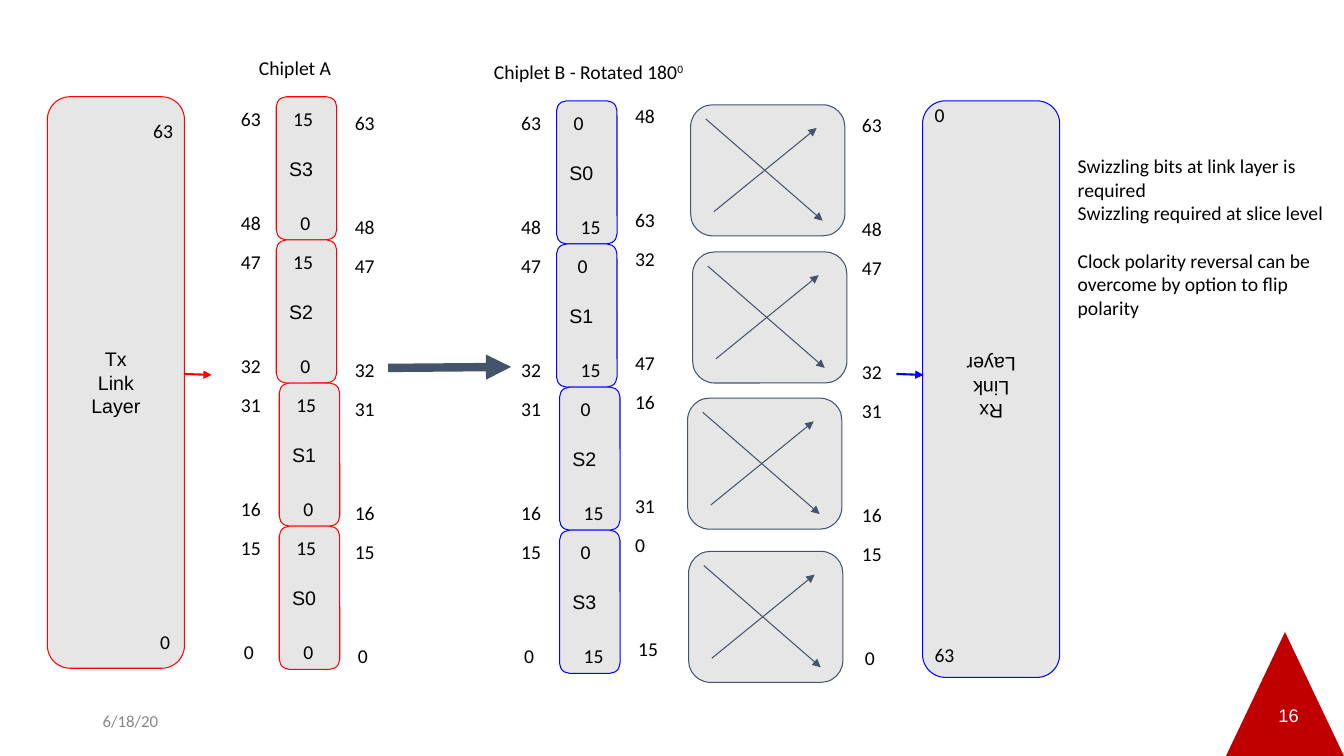
"""Builds the slide on bit swizzling between two chiplets, one of them rotated."""
from dataclasses import dataclass

from lxml.etree import SubElement
from pptx import Presentation
from pptx.dml.color import RGBColor
from pptx.enum.shapes import MSO_CONNECTOR, MSO_SHAPE
from pptx.enum.text import MSO_ANCHOR as ANCHOR, PP_ALIGN as ALIGN
from pptx.oxml.ns import qn
from pptx.util import Inches, Pt

COLORS = {"tx": "FF0000", "rx": "0000FF", "slate": "44546A", "gray": "E7E6E6",
          "badge": "C00000", "black": "000000", "white": "FFFFFF", "date": "888888"}
PITCH = 1.42
SPAN = 1.03
LABEL_W, LABEL_H = 0.42, 0.39


@dataclass(frozen=True)
class Chiplet:
    """A stack of four slices with the bit numbers inside each one."""
    color: str
    lefts: tuple[float, ...]
    top: float
    names: tuple[str, ...]
    bits: tuple[int, int]
    first_bit_dx: tuple[float, ...]


@dataclass(frozen=True)
class BitColumn:
    """A column of bit numbers; swapped means each slice counts upward."""
    left: float
    top: float
    swapped: bool = False


@dataclass(frozen=True)
class LinkLayer:
    """A link layer block with its name."""
    name: str
    color: str
    box: tuple[float, float, float, float]
    rotation: int = 0


CHIPLETS = (
    Chiplet("tx", (2.74, 2.74, 2.77, 2.77), 0.96, ("S3", "S2", "S1", "S0"),
            (15, 0), (0.07, 0.07, 0.07, 0.07)),
    Chiplet("rx", (5.52, 5.52, 5.55, 5.55), 1.0, ("S0", "S1", "S2", "S3"),
            (0, 15), (0.07, 0.11, 0.11, 0.11)),
)
BIT_COLUMNS = (BitColumn(2.29, 0.96), BitColumn(3.42, 1.0), BitColumn(5.07, 1.0),
               BitColumn(6.2, 0.93, swapped=True), BitColumn(8.45, 1.02))
LINK_LAYERS = (LinkLayer("Tx", "tx", (0.47, 0.96, 1.36, 5.67)),
               LinkLayer("Rx", "rx", (9.15, 1.0, 1.36, 5.72), 180))
LINK_BITS = ((63, 1.42, 1.08), (0, 1.49, 6.15), (0, 9.17, 0.92), (63, 9.17, 6.28))
SWIZZLES = ((6.85, 1.04), (6.87, 2.5), (6.82, 3.95), (6.83, 5.47))
NOTES = ("Swizzling bits at link layer is required",
         "Swizzling required at slice level",
         "Clock polarity reversal can be overcome by option to flip polarity")

prs = Presentation()
prs.slide_width, prs.slide_height = Inches(13.33), Inches(7.5)
slide = prs.slides.add_slide(prs.slide_layouts[6])


def rgb(name: str) -> RGBColor:
    """Look up a colour by name."""
    return RGBColor.from_string(COLORS[name])


def write(tf, *lines: str, size: float = 14, font: str = "Calibri",
          color: str = "black", align=ALIGN.LEFT, anchor=ANCHOR.TOP,
          pad: float = 0.1) -> None:
    """Fill a text frame with one paragraph per line."""
    tf.word_wrap = True
    tf.vertical_anchor = anchor
    tf.margin_left = tf.margin_right = Inches(0.1)
    tf.margin_top = tf.margin_bottom = Inches(pad)
    for i, line in enumerate(lines):
        p = tf.add_paragraph() if i else tf.paragraphs[0]
        p.alignment = align
        r = p.add_run()
        r.text = line
        r.font.size, r.font.name = Pt(size), font
        r.font.color.rgb = rgb(color)


def add_text(left: float, top: float, *lines: str, width: float = LABEL_W,
             height: float = LABEL_H, **fmt):
    """Add a text box and return its text frame."""
    sp = slide.shapes.add_textbox(*map(Inches, (left, top, width, height)))
    write(sp.text_frame, *lines, **fmt)
    return sp.text_frame


def add_block(left: float, top: float, width: float, height: float, line: str | None,
              fill: str = "gray", kind=MSO_SHAPE.ROUNDED_RECTANGLE):
    """Add a filled shape with an optional thin outline."""
    sp = slide.shapes.add_shape(kind, *map(Inches, (left, top, width, height)))
    sp.shadow.inherit = False
    sp.fill.solid()
    sp.fill.fore_color.rgb = rgb(fill)
    if line:
        sp.line.color.rgb = rgb(line)
        sp.line.width = Pt(0.75)
    else:
        sp.line.fill.background()
    return sp


def add_arrow(x1: float, y1: float, x2: float, y2: float, color: str,
              width: float = 0.75) -> None:
    """Add a straight arrow pointing at the second point."""
    cn = slide.shapes.add_connector(MSO_CONNECTOR.STRAIGHT, *map(Inches, (x1, y1, x2, y2)))
    cn.line.color.rgb = rgb(color)
    cn.line.width = Pt(width)
    SubElement(cn.line._get_or_add_ln(), qn("a:tailEnd"), type="triangle")
    SubElement(cn._element.spPr, qn("a:effectLst"))


def add_chiplet(chip: Chiplet) -> None:
    """Draw the slices of a chiplet and their first and last bits."""
    first, last = chip.bits
    for i, (left, name, dx) in enumerate(zip(chip.lefts, chip.names, chip.first_bit_dx)):
        top = chip.top + i * PITCH
        sp = add_block(left, top, 0.6, PITCH, chip.color)
        write(sp.text_frame, name, font="Arial", anchor=ANCHOR.MIDDLE)
        add_text(left + dx, top, str(first))
        add_text(left + 0.14, top + SPAN, str(last))


def add_bit_column(col: BitColumn) -> None:
    """Write the bit range of each of the four slices."""
    for i in range(4):
        high = 63 - 16 * i
        first, last = (high - 15, high) if col.swapped else (high, high - 15)
        top = col.top + i * PITCH
        add_text(col.left, top, str(first))
        add_text(col.left + (0.03 if i == 3 else 0), top + SPAN, str(last))


def add_link_layer(layer: LinkLayer) -> None:
    """Draw a link layer block."""
    sp = add_block(*layer.box, layer.color)
    sp.rotation = layer.rotation
    write(sp.text_frame, layer.name, "Link", "Layer", font="Arial",
          align=ALIGN.CENTER, anchor=ANCHOR.MIDDLE)


def add_swizzle(left: float, top: float) -> None:
    """Draw a box with two crossing arrows."""
    add_block(left, top, 1.53, 1.3, "slate")
    add_arrow(left + 0.15, top + 0.14, left + 1.31, top + 1.15, "slate")
    add_arrow(left + 0.23, top + 1.06, left + 1.25, top + 0.23, "slate")


add_block(12.16, 6.27, 1.17, 1.23, None, "badge", MSO_SHAPE.ISOSCELES_TRIANGLE)
add_text(12.55, 6.89, "16", width=0.46, size=13, font="Arial", color="white",
         align=ALIGN.CENTER)
for chiplet in CHIPLETS:
    add_chiplet(chiplet)
for column in BIT_COLUMNS:
    add_bit_column(column)

add_text(2.47, 0.45, "Chiplet A", width=1.27)
heading = add_text(4.8, 0.49, "Chiplet B - Rotated 180", width=2.38)
degree = heading.paragraphs[0].add_run()
degree.text = "0"
degree.font.size, degree.font.name = Pt(14), "Calibri"
degree.font.color.rgb = rgb("black")
degree.font._element.set("baseline", "30000")

for link_layer in LINK_LAYERS:
    add_link_layer(link_layer)
for bit, x, y in LINK_BITS:
    add_text(x, y, str(bit))
for x, y in SWIZZLES:
    add_swizzle(x, y)
add_arrow(3.85, 3.65, 5.07, 3.64, "slate", 6)
add_arrow(1.83, 3.71, 2.1, 3.72, "tx", 1.5)
add_arrow(8.89, 3.71, 9.16, 3.72, "rx", 1.5)

notes = add_text(10.59, 1.43, *NOTES, width=2.69, height=1.63)
notes.paragraphs[-1].space_before = Pt(17)
add_text(0.92, 6.95, "6/18/20", width=3, height=0.4, size=12, color="date",
         anchor=ANCHOR.MIDDLE, pad=0.05)

prs.save("out.pptx")
